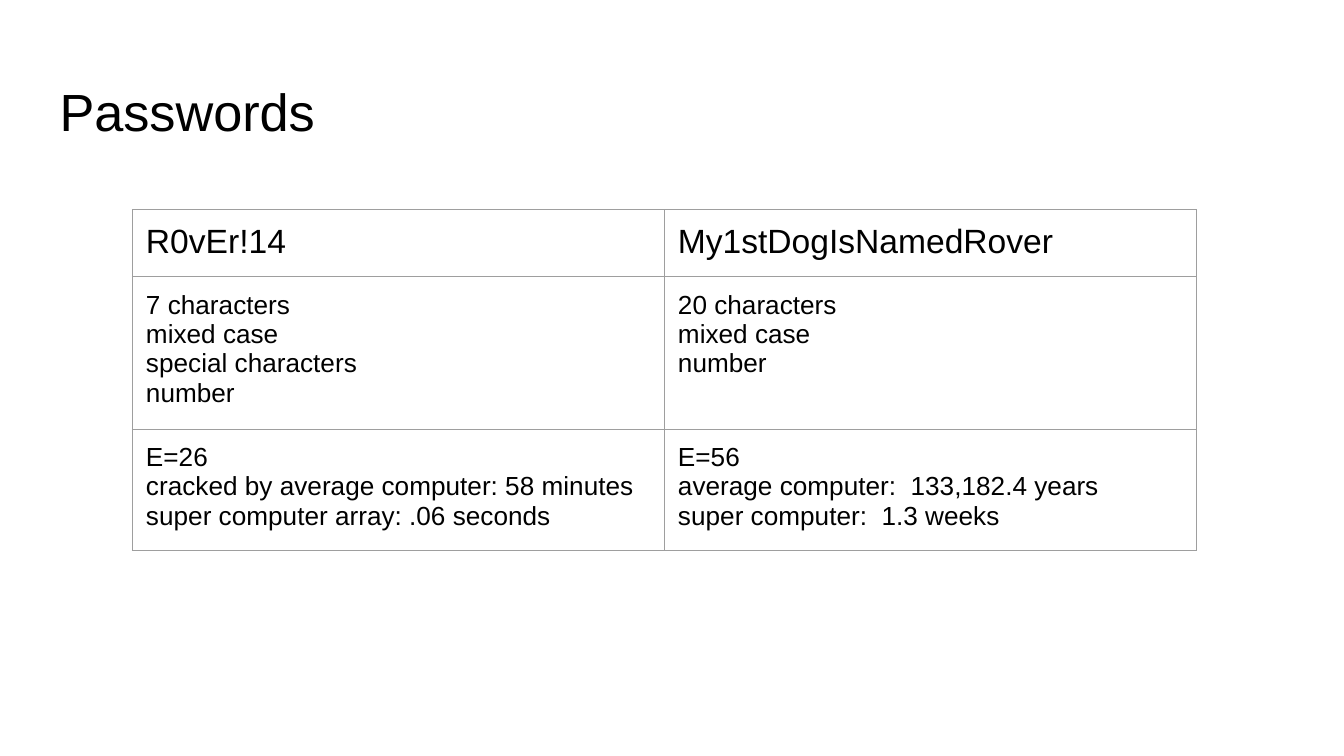
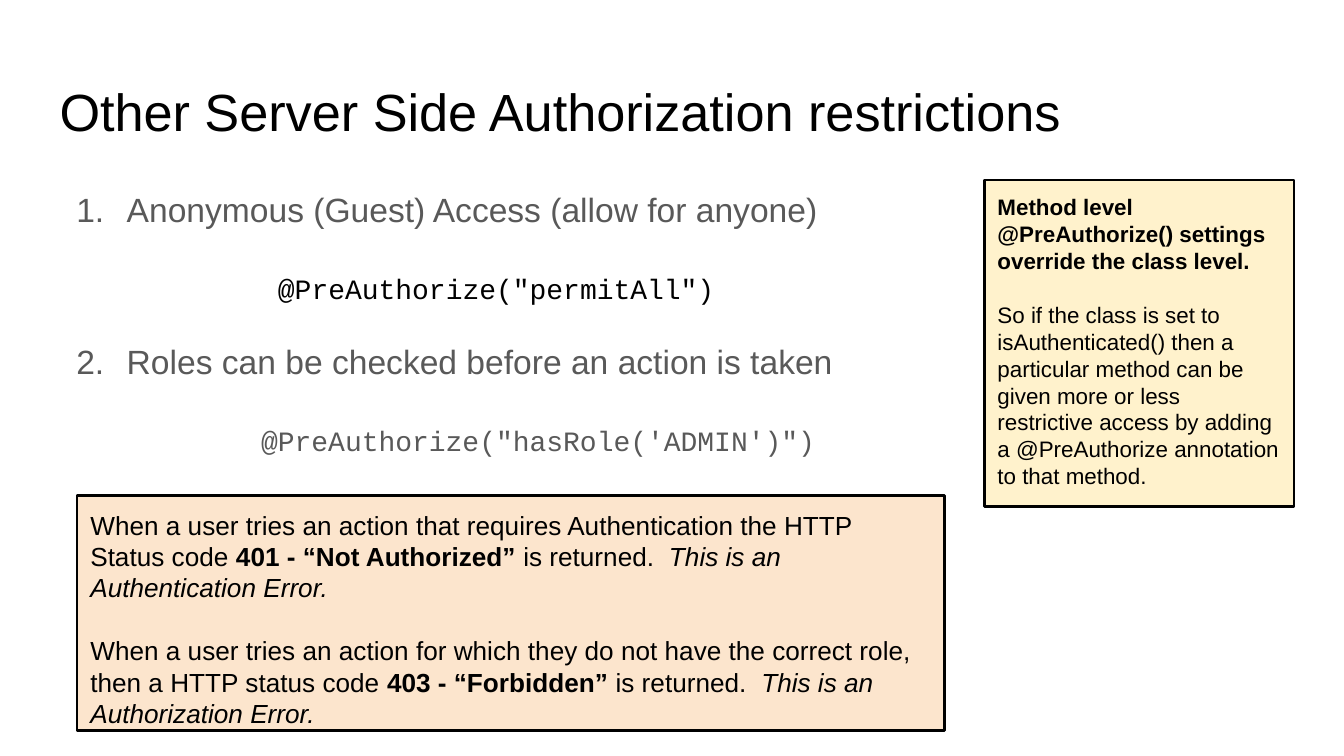
from lxml.etree import SubElement
from pptx import Presentation
from pptx.dml.color import RGBColor
from pptx.enum.shapes import MSO_SHAPE
from pptx.enum.text import MSO_ANCHOR, PP_ALIGN
from pptx.oxml.ns import qn
from pptx.util import Pt

COLORS = {"ink": "000000", "body": "595959", "grid": "9E9E9E",
          "cream": "FFF2CC", "peach": "FCE5CD"}
SANS, MONO = "Arial", "Courier New"
INSET = 7.2
TITLE_AREA = (24.8, 35.3, 671, 45.4)

PASSWORDS_TITLE = "Passwords"
PASSWORDS = [
    ("R0vEr!14", "My1stDogIsNamedRover"),
    ("7 characters\nmixed case\nspecial characters\nnumber",
     "20 characters\nmixed case\nnumber"),
    ("E=26\ncracked by average computer: 58 minutes\nsuper computer array: .06 seconds",
     "E=56\naverage computer:  133,182.4 years\nsuper computer:  1.3 weeks"),
]
PASSWORDS_ORIGIN = (71, 112.3)
PASSWORDS_COLUMN = 285
PASSWORDS_ROWS = [(29.5, 18), (59.8, 14), (59.8, 14)]  # least height, text size

RESTRICTIONS_TITLE = "Other Server Side Authorization restrictions"
RESTRICTIONS_AREA = (24.8, 90.8, 469, 175)
# heading, annotation, annotation colour, annotation indent
RESTRICTIONS = [
    ("Anonymous (Guest) Access (allow for anyone)",
     '@PreAuthorize("permitAll")', "ink", 117),
    ("Roles can be checked before an action is taken",
     "@PreAuthorize(\"hasRole('ADMIN')\")", "body", 108),
]

# Each paragraph is a list of (text, emphasis)
NOTES = [
    {"area": (527.3, 96.5, 166, 175), "fill": "cream", "size": 12, "gap": 14.4,
     "paragraphs": [
         [("Method level @PreAuthorize() settings override the class level.", "bold")],
         [("So if the class is set to isAuthenticated() then a particular method can be "
           "given more or less restrictive access by adding a @PreAuthorize annotation "
           "to that method.", None)],
     ]},
    {"area": (41.3, 265.5, 464.5, 126), "fill": "peach", "size": 14, "gap": 16.8,
     "paragraphs": [
         [("When a user tries an action that requires Authentication the HTTP Status code ", None),
          ("401 - “Not Authorized” ", "bold"),
          ("is returned.  ", None),
          ("This is an Authentication Error.", "italic")],
         [("When a user tries an action for which they do not have the correct role, "
           "then a HTTP status code ", None),
          ("403 - “Forbidden”", "bold"),
          (" is returned.  ", None),
          ("This is an Authorization Error.", "italic")],
     ]},
]


def rgb(color):
    return RGBColor.from_string(COLORS[color])


def apply(target, values):
    for attribute, value in values.items():
        setattr(target, attribute, value)


def set_margins(target):
    apply(target, {f"margin_{side}": Pt(INSET)
                   for side in ("left", "top", "right", "bottom")})


def add_run(paragraph, text, size, color="ink", font=SANS, emphasis=None):
    run = paragraph.add_run()
    run.text = text
    values = {"size": Pt(size), "name": font}
    if emphasis:
        values[emphasis] = True
    apply(run.font, values)
    run.font.color.rgb = rgb(color)


def prepare_frame(frame):
    set_margins(frame)
    apply(frame, {"word_wrap": True, "vertical_anchor": MSO_ANCHOR.TOP})
    return frame


def paragraphs_for(frame, items):
    """Pair each item with its paragraph, using the frame's first one first."""
    for index, item in enumerate(items):
        yield (frame.add_paragraph() if index else frame.paragraphs[0]), item


def add_text_area(slide, area):
    return prepare_frame(slide.shapes.add_textbox(*map(Pt, area)).text_frame)


def add_titled_slide(deck, title):
    slide = deck.slides.add_slide(deck.slide_layouts[6])
    add_run(add_text_area(slide, TITLE_AREA).paragraphs[0], title, 28)
    return slide


def indent(paragraph, left, first=0):
    properties = paragraph._p.get_or_add_pPr()
    properties.set("marL", str(Pt(left)))
    properties.set("indent", str(Pt(first)))
    return properties


def number(paragraph, position):
    properties = indent(paragraph, 36, -27)
    color = SubElement(properties, qn("a:buClr"))
    SubElement(color, qn("a:srgbClr"), val=COLORS["body"])
    SubElement(properties, qn("a:buFont"), typeface=SANS)
    SubElement(properties, qn("a:buAutoNum"), type="arabicPeriod", startAt=str(position))


def add_borders(cell):
    properties = cell._tc.get_or_add_tcPr()
    for side in ("lnL", "lnR", "lnT", "lnB"):
        line = SubElement(properties, qn(f"a:{side}"), w=str(Pt(0.75)))
        fill = SubElement(line, qn("a:solidFill"))
        SubElement(fill, qn("a:srgbClr"), val=COLORS["grid"])


def add_passwords_table(slide):
    columns = len(PASSWORDS[0])
    size = (columns * PASSWORDS_COLUMN, sum(height for height, _ in PASSWORDS_ROWS))
    table = slide.shapes.add_table(len(PASSWORDS), columns,
                                   *map(Pt, PASSWORDS_ORIGIN + size)).table
    apply(table, {"first_row": False, "horz_banding": False})
    for row, texts, (height, text_size) in zip(table.rows, PASSWORDS, PASSWORDS_ROWS):
        row.height = Pt(height)
        for cell, text in zip(row.cells, texts):
            add_borders(cell)
            cell.fill.background()
            set_margins(cell)
            for paragraph, line in paragraphs_for(cell.text_frame, text.split("\n")):
                add_run(paragraph, line, text_size)


def add_restrictions(slide):
    frame = add_text_area(slide, RESTRICTIONS_AREA)
    for position, (heading, annotation, color, left) in enumerate(RESTRICTIONS, 1):
        paragraph = frame.paragraphs[0] if position == 1 else frame.add_paragraph()
        paragraph.line_spacing = 1.15
        if position > 1:
            paragraph.space_before = Pt(16)
        number(paragraph, position)
        add_run(paragraph, heading, 18, "body")

        paragraph = frame.add_paragraph()
        apply(paragraph, {"line_spacing": 1.15, "space_before": Pt(20)})
        indent(paragraph, left)
        add_run(paragraph, annotation, 15, color, MONO)


def add_note(slide, note):
    box = slide.shapes.add_shape(MSO_SHAPE.RECTANGLE, *map(Pt, note["area"]))
    box.shadow.inherit = False
    box.fill.solid()
    box.fill.fore_color.rgb = rgb(note["fill"])
    box.line.color.rgb = rgb("ink")
    box.line.width = Pt(1.5)
    frame = prepare_frame(box.text_frame)
    for paragraph, runs in paragraphs_for(frame, note["paragraphs"]):
        paragraph.alignment = PP_ALIGN.LEFT
        if runs is not note["paragraphs"][0]:
            paragraph.space_before = Pt(note["gap"])
        for text, emphasis in runs:
            add_run(paragraph, text, note["size"], emphasis=emphasis)


def main():
    deck = Presentation()
    apply(deck, {"slide_width": Pt(720), "slide_height": Pt(405)})

    add_passwords_table(add_titled_slide(deck, PASSWORDS_TITLE))

    restrictions = add_titled_slide(deck, RESTRICTIONS_TITLE)
    add_restrictions(restrictions)
    for note in NOTES:
        add_note(restrictions, note)

    deck.save("out.pptx")


if __name__ == "__main__":
    main()
